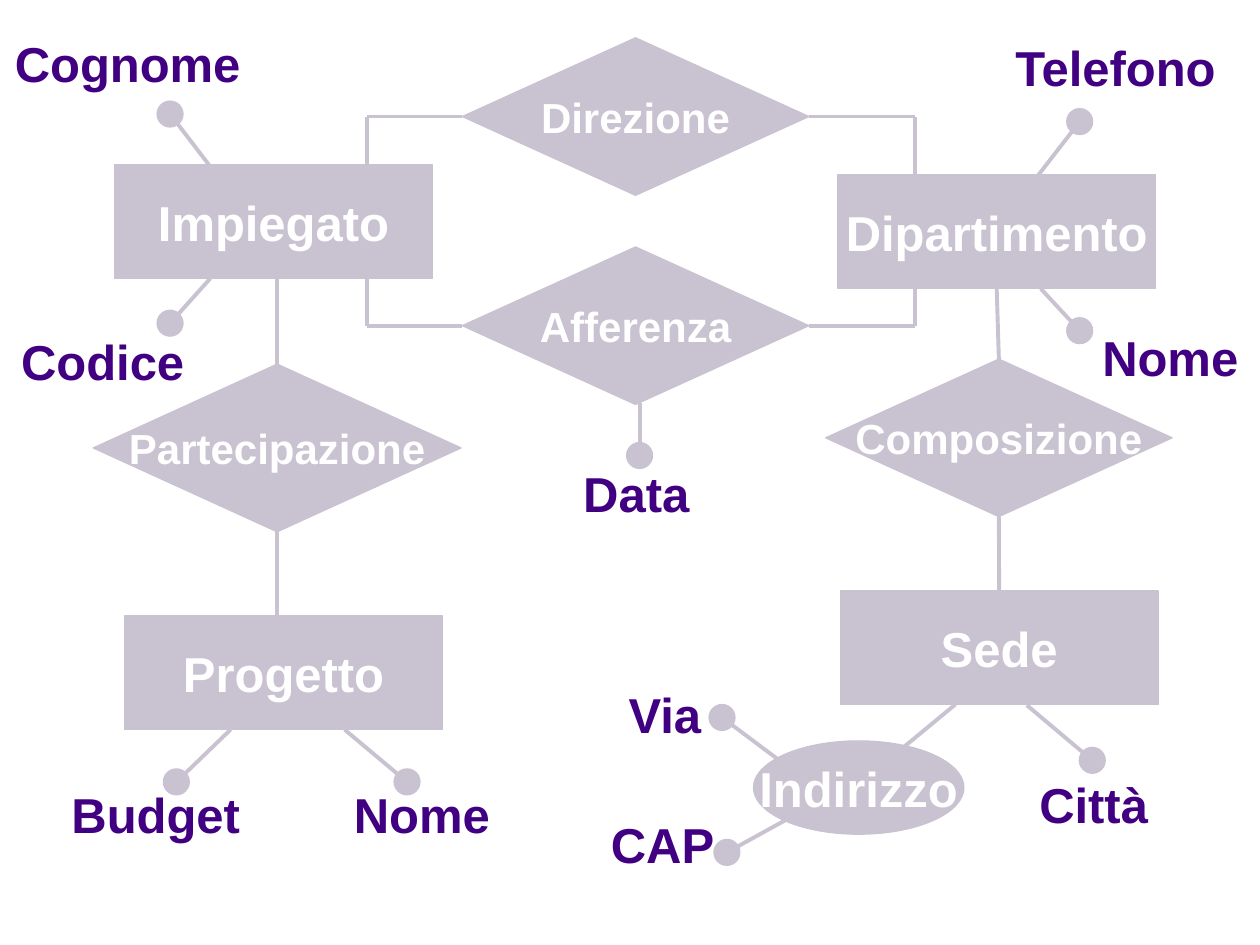
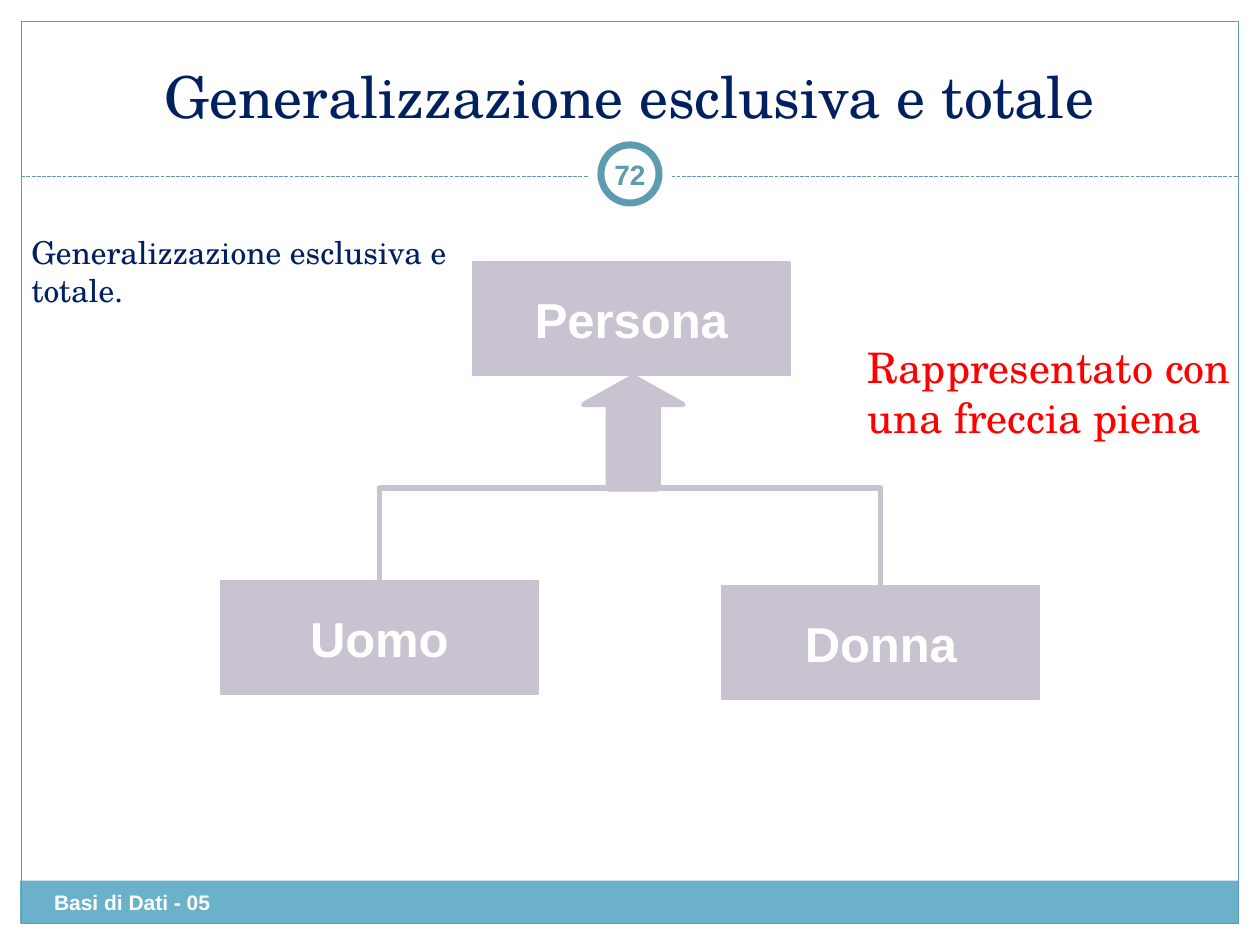
from pptx import Presentation
from pptx.dml.color import RGBColor as Rgb
from pptx.enum.dml import MSO_LINE as Dash
from pptx.enum.shapes import MSO_CONNECTOR as Conn, MSO_SHAPE as Kind
from pptx.enum.text import MSO_ANCHOR as Anchor, PP_ALIGN as Align
from pptx.oxml.xmlchemy import OxmlElement as Tag
from pptx.util import Pt

HUES = {"node": "C9C2D1", "label": "410082", "white": "FFFFFF", "edge": "5D9BB1",
        "band": "6BB1C9", "title": "002060", "note": "FF0000"}
SANS, SERIF = "Arial", "TeX Gyre Schola"
TOP, LEFT, BOTTOM, RIGHT = range(4)
RECT = (181.5, 64.8)
RHOMB = (198, 90)


def hue(name):
    """Return the colour with this name."""
    return Rgb.from_string(HUES[name])


def write(shape, text, size=28, color="label", font=SANS, bold=True,
          align=Align.LEFT, anchor=Anchor.TOP, wrap=False, pad=(7.2, 3.6)):
    """Put formatted text into a shape, one paragraph per line."""
    frame = shape.text_frame
    frame.word_wrap = wrap
    frame.vertical_anchor = anchor
    frame.margin_left = frame.margin_right = Pt(pad[0])
    frame.margin_top = frame.margin_bottom = Pt(pad[1])
    frame.text = text
    for para in frame.paragraphs:
        para.alignment = align
        para.font.size = Pt(size)
        para.font.name = font
        para.font.bold = bold
        para.font.color.rgb = hue(color)


def label(slide, text, x, y, w, h=41, **style):
    """Add a text box."""
    write(slide.shapes.add_textbox(Pt(x), Pt(y), Pt(w), Pt(h)), text, **style)


def draw(slide, kind, x, y, w, h, fill="node", edge="node", width=0.75):
    """Add a flat preset shape."""
    shape = slide.shapes.add_shape(kind, Pt(x), Pt(y), Pt(w), Pt(h))
    shape.shadow.inherit = False
    if fill:
        shape.fill.solid()
        shape.fill.fore_color.rgb = hue(fill)
    else:
        shape.fill.background()
    if edge:
        shape.line.color.rgb = hue(edge)
        shape.line.width = Pt(width)
    else:
        shape.line.fill.background()
    return shape


def node(slide, kind, text, x, y, size=RECT, points=28):
    """Add a shape with a centred white name."""
    shape = draw(slide, kind, x, y, *size)
    write(shape, text, size=points, color="white", align=Align.CENTER,
          anchor=Anchor.MIDDLE)
    return shape


def entity(slide, text, x, y):
    """Add an entity rectangle."""
    return node(slide, Kind.RECTANGLE, text, x, y)


def relate(slide, text, x, y, size=RHOMB):
    """Add a relationship diamond."""
    return node(slide, Kind.DIAMOND, text, x, y, size, 24)


def link(slide, start, end, color="node", width=2.25):
    """Join two ends, each a point or a pair of shape and side."""
    ends = [(0, 0) if hasattr(spot[0], "shape_id") else spot
            for spot in (start, end)]
    line = slide.shapes.add_connector(
        Conn.STRAIGHT, *(Pt(v) for point in ends for v in point))
    if hasattr(start[0], "shape_id"):
        line.begin_connect(*start)
    if hasattr(end[0], "shape_id"):
        line.end_connect(*end)
    line.line.color.rgb = hue(color)
    line.line.width = Pt(width)
    line._element.spPr.append(Tag("a:effectLst"))
    return line


def attr(slide, text, spot, dot, start):
    """Add an attribute: its line, dot and name."""
    link(slide, start, dot)
    draw(slide, Kind.OVAL, dot[0] - 7.4, dot[1] - 7.4, 14.8, 14.8)
    label(slide, text, *spot)


def loop(slide, rhomb, side, x, mid, y):
    """Join a diamond's side to a rectangle's edge by a right angle."""
    link(slide, (x, y), (x, mid))
    link(slide, (x, mid), (rhomb, side))


def schema(slide):
    """Draw the entity-relationship schema."""
    entity(slide, "Impiegato", 65.5, 94.3)
    dept = entity(slide, "Dipartimento", 478.8, 100.1)
    entity(slide, "Progetto", 71.3, 352.1)
    site = entity(slide, "Sede", 480.2, 337.7)
    node(slide, Kind.OVAL, "Indirizzo", 430.6, 423.4, (120.2, 53.3))

    heads = relate(slide, "Direzione", 264.2, 21.6)
    joins = relate(slide, "Afferenza", 264.2, 141.1)
    works = relate(slide, "Partecipazione", 53.3, 208.1, (210.2, 95.8))
    forms = relate(slide, "Composizione", 471.8, 205.2)

    link(slide, (158.4, 159.1), (works, TOP))
    link(slide, (works, BOTTOM), (158.4, 352.1))
    link(slide, (dept, BOTTOM), (forms, TOP))
    link(slide, (forms, BOTTOM), (site, TOP))
    for rhomb, mid, left, right in ((heads, 66.6, 94.3, 100.1),
                                    (joins, 186.1, 159.1, 164.9)):
        loop(slide, rhomb, LEFT, 209.5, mid, left)
        loop(slide, rhomb, RIGHT, 523.1, mid, right)
    link(slide, (546, 402.5), (512, 430.6))

    for item in (
        ("Cognome", (1.4, 15.8, 143.3), (97.2, 65.2), (119.5, 94.3)),
        ("Codice", (5, 185.8, 120), (97.2, 184.7), (120.2, 159.1)),
        ("Telefono", (573.1, 18, 131), (617, 69.5), (593.3, 100.1)),
        ("Nome", (622.8, 183.6, 92.2), (617, 189), (594.7, 164.9)),
        ("Data", (326.2, 261.4, 74.9), (365.5, 260.3), (365.5, 230.4)),
        ("Budget", (33.8, 445, 110.9), (100.8, 446.8), (131.8, 416.9)),
        ("Nome", (195.1, 445, 92.2), (232.6, 446.8), (196.9, 416.9)),
        ("Città", (586.8, 439.2, 76.3), (624.2, 434.5), (586.8, 403)),
        ("Via", (352.1, 387.4, 56.2), (412.6, 410), (446, 435)),
        ("CAP", (342, 462.2, 73.4), (415.4, 487.1), (450, 468)),
    ):
        attr(slide, *item)


def chrome(slide, title, page, footer):
    """Draw the frame, band, title, page ring and footer."""
    draw(slide, Kind.RECTANGLE, 11.5, 503.3, 696, 24.5, "band", None)
    draw(slide, Kind.RECTANGLE, 12.2, 12.2, 695.5, 515.5, None, "edge")
    rule = link(slide, (12.2, 100.8), (707.8, 100.8), "edge", 0.75)
    rule.line.dash_style = Dash.SQUARE_DOT
    draw(slide, Kind.OVAL, 336, 75.4, 48, 48, "white", None)
    ring = draw(slide, Kind.OVAL, 343.4, 82.8, 33.2, 33.2, "white", "edge", 4)
    write(ring, page, size=16, color="edge", align=Align.CENTER,
          anchor=Anchor.MIDDLE, pad=(0, 0))
    label(slide, footer, 23.8, 504.7, 282, 28.8, size=12, color="white", wrap=True)
    label(slide, title, 23.8, 18, 672, 59.8, size=33, color="title", font=SERIF,
          bold=False, align=Align.CENTER, anchor=Anchor.BOTTOM, wrap=True)


def family(slide):
    """Draw the total and exclusive generalization."""
    chrome(slide, "Generalizzazione esclusiva e totale", "72", "Basi di Dati - 05")
    entity(slide, "Persona", 270, 149.8)
    bar = 279
    kids = (("Uomo", 126, 331.9), ("Donna", 412.6, 334.8))
    mids = [x + RECT[0] / 2 for _, x, _ in kids]
    for (name, x, y), mid in zip(kids, mids):
        link(slide, (mid, bar - 1.5), (entity(slide, name, x, y), TOP), width=3)
    link(slide, (mids[0], bar), (mids[1], bar), width=3.5)
    arrow = draw(slide, Kind.UP_ARROW, 333.4, 215.3, 56.9, 64.1, width=3)
    arrow.adjustments[1] = 0.28
    label(slide, "Generalizzazione esclusiva e\ntotale.", 10.8, 129.6, 265, 50.4,
          size=18, color="title", font=SERIF, bold=False)
    label(slide, "Rappresentato con\nuna freccia piena", 488.9, 191.5, 234, 64.8,
          size=24, color="note", font=SERIF, bold=False)


def main():
    """Build and save both slides."""
    deck = Presentation()
    deck.slide_width, deck.slide_height = Pt(720), Pt(540)
    for paint in (schema, family):
        paint(deck.slides.add_slide(deck.slide_layouts[6]))
    deck.save("out.pptx")


if __name__ == "__main__":
    main()
